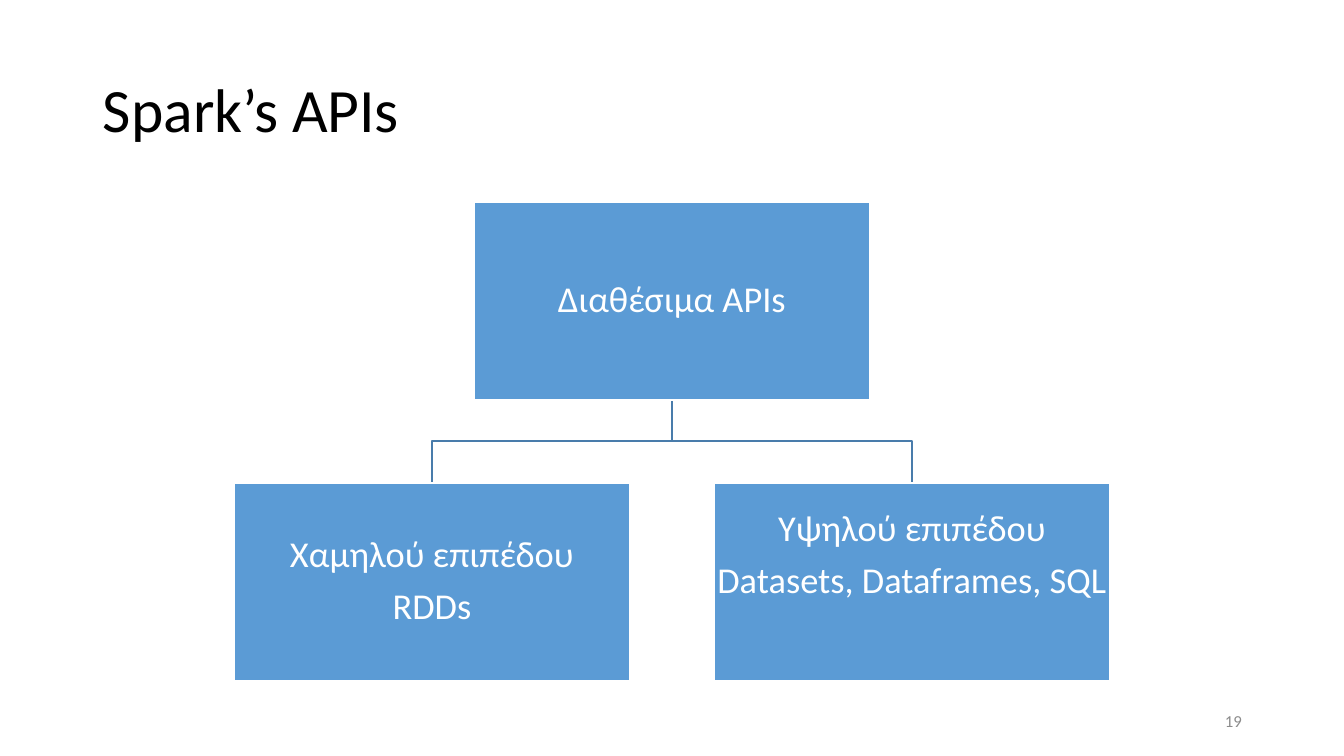
from pptx import Presentation
from pptx.dml.color import RGBColor
from pptx.enum.shapes import MSO_SHAPE
from pptx.enum.text import MSO_ANCHOR, PP_ALIGN
from pptx.util import Emu, Pt

WIDTH, HEIGHT = 1344, 756
SCALE = 12192000 / WIDTH
BLACK = RGBColor(0x00, 0x00, 0x00)
WHITE = RGBColor(0xFF, 0xFF, 0xFF)
BLUE = RGBColor(0x5B, 0x9B, 0xD5)
DARK_BLUE = RGBColor(0x49, 0x7C, 0xAB)
GRAY = RGBColor(0x8C, 0x8C, 0x8C)

CENTER = WIDTH // 2
NODE_WIDTH, NODE_HEIGHT = 396, 198
ROOT_TOP, CHILD_TOP = 202, 483
CHILD_OFFSET = 240


def px(value):
    return Emu(round(value * SCALE))


class SlideBuilder:
    font = "Calibri"

    def __init__(self, deck):
        self.shapes = deck.slides.add_slide(deck.slide_layouts[6]).shapes

    def set_text(self, shape, lines, size, color, align, inset, spacing=1.0, after=0, lift=0):
        frame = shape.text_frame
        frame.word_wrap = True
        frame.vertical_anchor = MSO_ANCHOR.MIDDLE
        frame.margin_left = frame.margin_right = px(inset)
        frame.margin_top = px(min(inset, 5))
        frame.margin_bottom = px(min(inset, 5) + lift)
        frame.text = "\n".join(lines)
        for para in frame.paragraphs:
            para.alignment = align
            para.line_spacing = spacing
            para.space_after = Pt(after)
            for span in para.runs:
                span.font.name = self.font
                span.font.size = Pt(size)
                span.font.color.rgb = color

    def label(self, left, top, width, height, text, size, color, align, spacing=1.0):
        box = self.shapes.add_textbox(px(left), px(top), px(width), px(height))
        self.set_text(box, [text], size, color, align, 10, spacing)

    def node(self, center, top, lines, lift=0):
        box = self.shapes.add_shape(
            MSO_SHAPE.RECTANGLE, px(center - NODE_WIDTH // 2), px(top), px(NODE_WIDTH), px(NODE_HEIGHT)
        )
        box.shadow.inherit = False
        box.fill.solid()
        box.fill.fore_color.rgb = BLUE
        box.line.color.rgb = WHITE
        box.line.width = Pt(1)
        self.set_text(box, lines, 26, WHITE, PP_ALIGN.CENTER, 2, 0.9, 9.1, lift)

    def branch(self, center):
        bottom = ROOT_TOP + NODE_HEIGHT
        middle = (bottom + CHILD_TOP) // 2
        builder = self.shapes.build_freeform(CENTER, bottom, SCALE)
        builder.add_line_segments([(CENTER, middle), (center, middle), (center, CHILD_TOP)], close=False)
        line = builder.convert_to_shape()
        line.shadow.inherit = False
        line.fill.background()
        line.line.color.rgb = DARK_BLUE
        line.line.width = Pt(1)


def main():
    deck = Presentation()
    deck.slide_width, deck.slide_height = px(WIDTH), px(HEIGHT)
    page = SlideBuilder(deck)
    page.label(93, 40, 1159, 146, "Spark’s APIs", 44, BLACK, PP_ALIGN.LEFT, 0.9)
    children = [
        (CENTER - CHILD_OFFSET, ["Χαμηλού επιπέδου", "RDDs"], 0),
        (CENTER + CHILD_OFFSET, ["Υψηλού επιπέδου", "Datasets, Dataframes, SQL"], 52),
    ]
    for center, lines, lift in reversed(children):
        page.branch(center)
    page.node(CENTER, ROOT_TOP, ["Διαθέσιμα APIs"])
    for center, lines, lift in children:
        page.node(center, CHILD_TOP, lines, lift)
    page.label(950, 701, 302, 40, "19", 12, GRAY, PP_ALIGN.RIGHT)
    deck.save("out.pptx")


if __name__ == "__main__":
    main()
